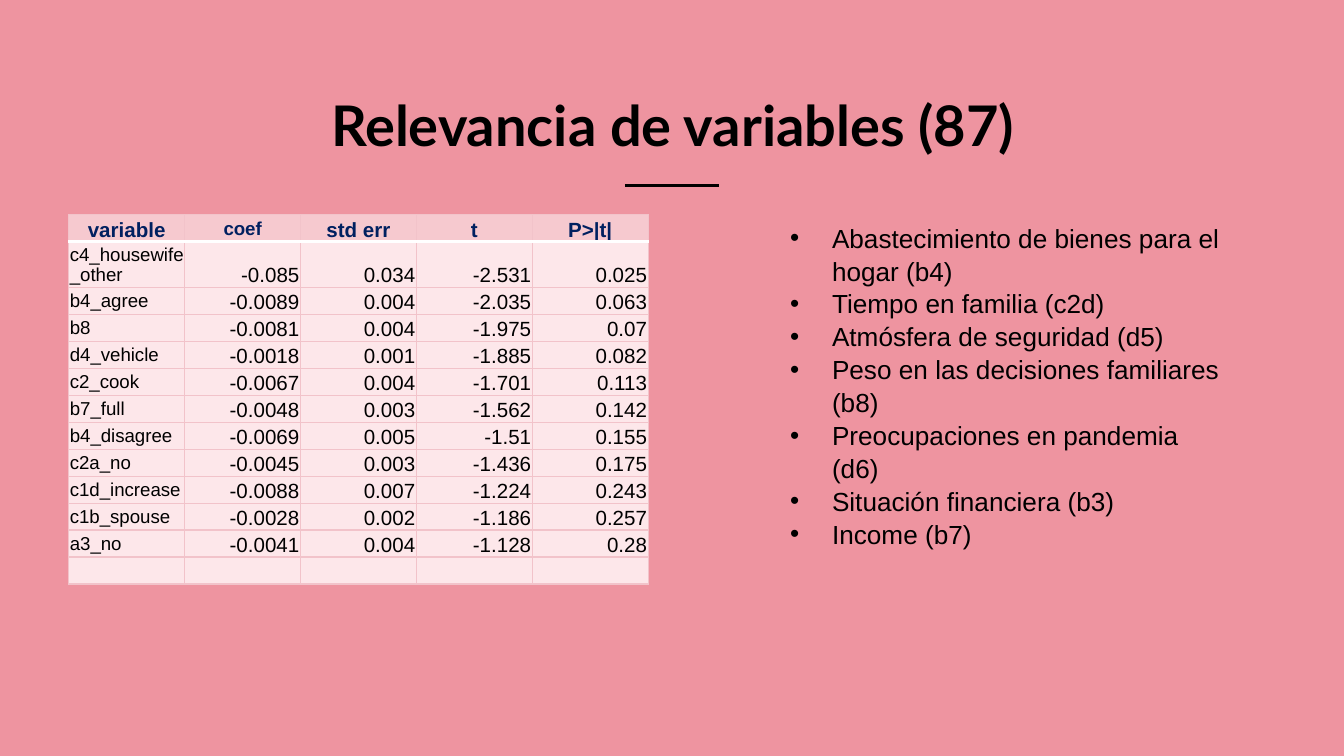
from dataclasses import dataclass

from lxml.etree import SubElement
from pptx import Presentation
from pptx.dml.color import RGBColor
from pptx.enum.shapes import MSO_CONNECTOR
from pptx.enum.text import MSO_ANCHOR as Anchor, MSO_AUTO_SIZE as AutoSize, PP_ALIGN as Align
from pptx.oxml.ns import qn
from pptx.util import Cm, Pt

TITLE = "Relevancia de variables (87)"
HEADER = ("variable", "coef", "std err", "t", "P>|t|")
ROWS = [
    ("c4_housewife_other", "-0.085", "0.034", "-2.531", "0.025"),
    ("b4_agree", "-0.0089", "0.004", "-2.035", "0.063"),
    ("b8", "-0.0081", "0.004", "-1.975", "0.07"),
    ("d4_vehicle", "-0.0018", "0.001", "-1.885", "0.082"),
    ("c2_cook", "-0.0067", "0.004", "-1.701", "0.113"),
    ("b7_full", "-0.0048", "0.003", "-1.562", "0.142"),
    ("b4_disagree", "-0.0069", "0.005", "-1.51", "0.155"),
    ("c2a_no", "-0.0045", "0.003", "-1.436", "0.175"),
    ("c1d_increase", "-0.0088", "0.007", "-1.224", "0.243"),
    ("c1b_spouse", "-0.0028", "0.002", "-1.186", "0.257"),
    ("a3_no", "-0.0041", "0.004", "-1.128", "0.28"),
    ("",) * len(HEADER),
]
TOPICS = [
    "Abastecimiento de bienes para el hogar (b4)",
    "Tiempo en familia (c2d)",
    "Atmósfera de seguridad (d5)",
    "Peso en las decisiones familiares (b8)",
    "Preocupaciones en pandemia (d6)",
    "Situación financiera (b3)",
    "Income (b7)",
]


@dataclass(frozen=True)
class Theme:
    background: str = "EE94A0"
    ink: str = "000000"
    header_ink: str = "002060"
    header_fill: str = "F6C9CF"
    body_fill: str = "FDE7EA"
    grid: str = "F2C3CA"
    header_rule: str = "FFFFFF"
    heading_font: str = "Lato"
    body_font: str = "Arial"
    title_size: int = 30
    list_size: int = 14
    cell_size: int = 11
    label_size: int = 10


THEME = Theme()


def color(value):
    return RGBColor.from_string(value)


def place(shape, left, top, width, height):
    shape.left, shape.top, shape.width, shape.height = map(Cm, (left, top, width, height))


def add_run(paragraph, text, font_name, size, ink, bold=False):
    run = paragraph.add_run()
    run.text = text
    run.font.name, run.font.size, run.font.bold = font_name, Pt(size), bold
    run.font.color.rgb = color(ink)


def add_border(cell, side, ink, points):
    line = SubElement(cell._tc.get_or_add_tcPr(), qn(f"a:ln{side}"), w=str(Pt(points)))
    fill = SubElement(line, qn("a:solidFill"))
    SubElement(fill, qn("a:srgbClr"), val=ink)


def add_title(slide):
    title = slide.shapes.title
    place(title, 4.7, 1.47, 16.03, 1.47)
    frame = title.text_frame
    frame.auto_size, frame.vertical_anchor = AutoSize.NONE, Anchor.TOP
    frame.margin_left = frame.margin_right = frame.margin_top = frame.margin_bottom = Cm(0.25)
    paragraph = frame.paragraphs[0]
    paragraph.alignment = Align.CENTER
    add_run(paragraph, TITLE, THEME.heading_font, THEME.title_size, THEME.ink, bold=True)

    rule = slide.shapes.add_connector(
        MSO_CONNECTOR.STRAIGHT, Cm(11.81), Cm(3.5), Cm(13.59), Cm(3.5))
    rule.line.color.rgb, rule.line.width = color(THEME.ink), Pt(1.5)
    SubElement(rule._element.spPr, qn("a:effectLst"))


def add_topics(slide):
    body = slide.placeholders[1]
    place(body, 14.68, 4.04, 8.76, 7.44)
    frame = body.text_frame
    frame.word_wrap, frame.auto_size = True, AutoSize.NONE
    frame.vertical_anchor = Anchor.TOP
    for index, topic in enumerate(TOPICS):
        paragraph = frame.add_paragraph() if index else frame.paragraphs[0]
        paragraph.alignment = Align.LEFT
        paragraph.space_before = paragraph.space_after = Pt(0)
        paragraph.line_spacing = 1.05
        properties = paragraph._p.get_or_add_pPr()
        properties.set("marL", str(Cm(0.79)))
        properties.set("indent", str(-Cm(0.79)))
        bullet_color = SubElement(properties, qn("a:buClr"))
        SubElement(bullet_color, qn("a:srgbClr"), val=THEME.ink)
        SubElement(properties, qn("a:buFont"), typeface=THEME.body_font)
        SubElement(properties, qn("a:buChar"), char="•")
        add_run(paragraph, topic, THEME.body_font, THEME.list_size, THEME.ink)


def format_cell(cell, text, row, column):
    is_header, is_label = row == 0, column == 0
    cell.margin_left = cell.margin_right = cell.margin_top = Cm(0.02)
    cell.margin_bottom = 0
    # The first column and the "coef" heading are set smaller and centred vertically.
    is_small = column == 1 if is_header else is_label
    cell.vertical_anchor = Anchor.MIDDLE if is_small else Anchor.BOTTOM
    size = THEME.label_size if is_small else THEME.cell_size

    paragraph = cell.text_frame.paragraphs[0]
    if is_header:
        paragraph.alignment = Align.CENTER
    else:
        paragraph.alignment = Align.LEFT if is_label else Align.RIGHT
    if text:
        ink = THEME.header_ink if is_header else THEME.ink
        add_run(paragraph, text, THEME.body_font, size, ink, bold=is_header)
    else:
        SubElement(paragraph._p, qn("a:endParaRPr"), sz=str(size * 100))

    for side in "LRTB":
        under_header = (side == "B" and row == 0) or (side == "T" and row == 1)
        add_border(cell, side, *((THEME.header_rule, 2) if under_header else (THEME.grid, 0.75)))
    cell.fill.solid()
    cell.fill.fore_color.rgb = color(THEME.header_fill if is_header else THEME.body_fill)


def add_coefficients(slide):
    records = [HEADER, *ROWS]
    column_width, row_height, tall_row = Cm(2.19), Cm(0.51), Cm(0.86)
    table = slide.shapes.add_table(
        len(records), len(HEADER), Cm(1.3), Cm(4.06),
        column_width * len(HEADER), row_height * (len(records) - 1) + tall_row).table
    table.horz_banding = False
    for column in table.columns:
        column.width = column_width
    for row, record in enumerate(records):
        table.rows[row].height = tall_row if row == 1 else row_height
        for column, text in enumerate(record):
            format_cell(table.cell(row, column), text, row, column)


def main():
    presentation = Presentation()
    presentation.slide_width, presentation.slide_height = Cm(25.4), Cm(14.29)
    slide = presentation.slides.add_slide(presentation.slide_layouts[1])
    slide.background.fill.solid()
    slide.background.fill.fore_color.rgb = color(THEME.background)
    add_title(slide)
    add_topics(slide)
    add_coefficients(slide)
    presentation.save("out.pptx")


if __name__ == "__main__":
    main()
